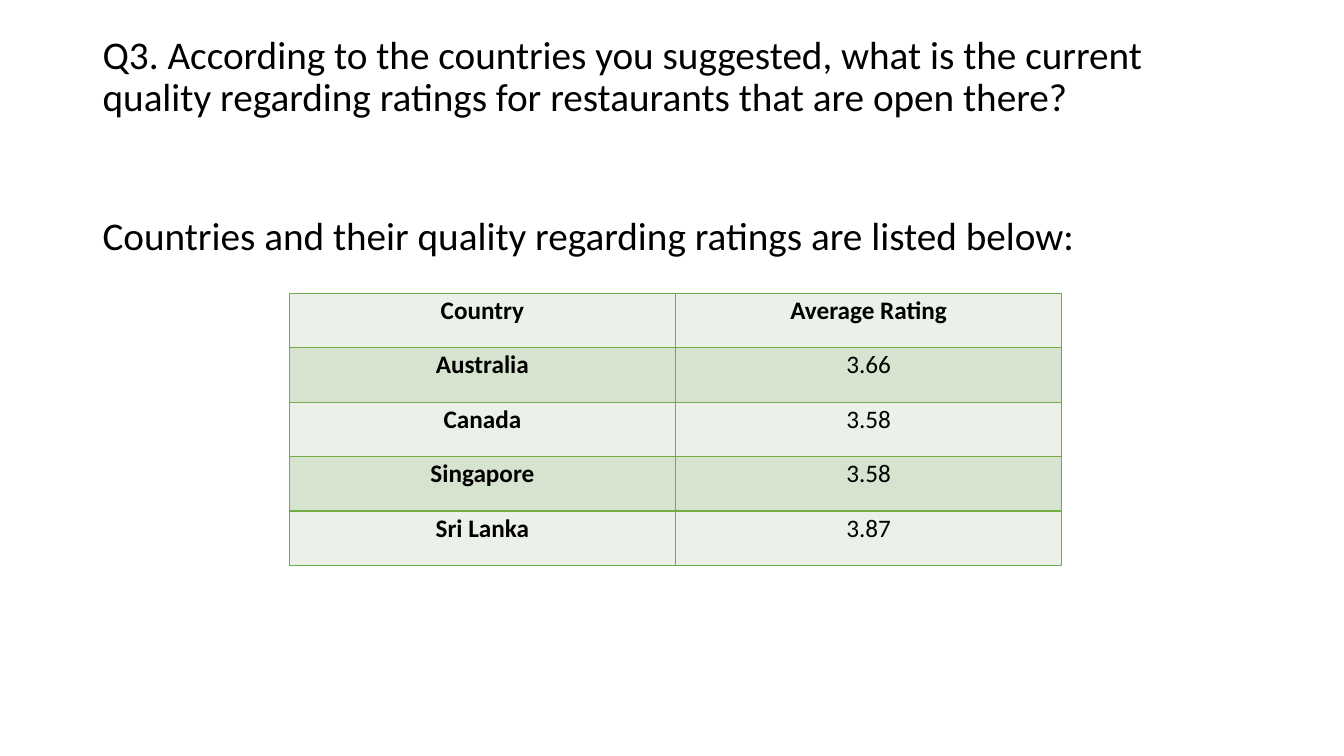
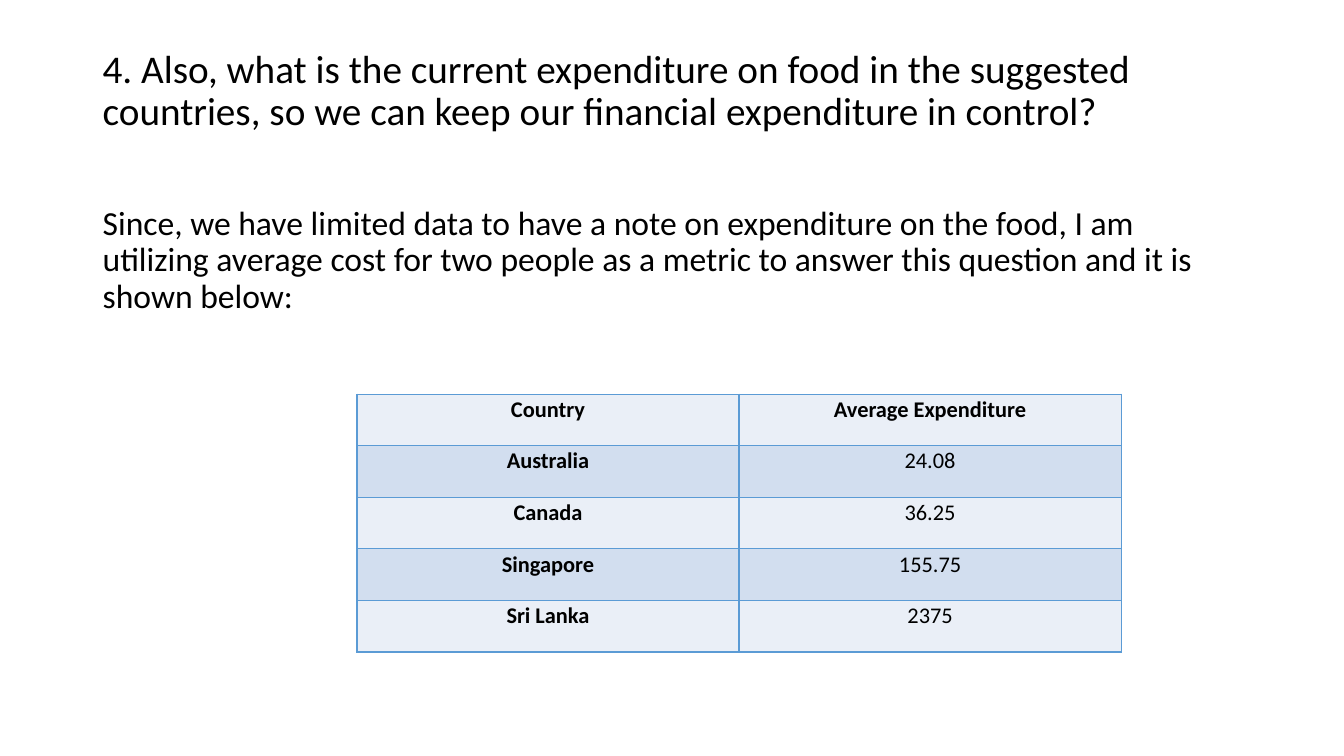
from lxml import etree
from pptx import Presentation
from pptx.dml.color import RGBColor
from pptx.enum.text import MSO_ANCHOR, PP_ALIGN
from pptx.oxml.ns import qn
from pptx.util import Emu, Pt

PX = 9144
FONT = "Calibri"
BLACK = "000000"
TITLE_SIZE = 28
MARGIN, CONTENT_WIDTH = 92, 1150
CELL_INSET = 7
BORDER_WIDTH = 1
TOP, MIDDLE = MSO_ANCHOR.TOP, MSO_ANCHOR.MIDDLE
CENTER = PP_ALIGN.CENTER
GREEN = {"border": "70AD47", "bands": ("EBF1E9", "D5E3CF")}
BLUE = {"border": "5B9BD5", "bands": ("EAEFF7", "D2DEEF")}

SLIDES = [
    {
        "title": "Q3. According to the countries you suggested, what is the current "
                 "quality regarding ratings for restaurants that are open there?",
        "title_box": (MARGIN, 14, CONTENT_WIDTH, 127),
        "body": "Countries and their quality regarding ratings are listed below:",
        "body_box": (MARGIN, 210, CONTENT_WIDTH, 60),
        "body_size": 28,
        "table_box": (287, 291, 766, 270),
        "table_size": 18,
        "theme": GREEN,
        "rows": [
            ("Country", "Average Rating"),
            ("Australia", "3.66"),
            ("Canada", "3.58"),
            ("Singapore", "3.58"),
            ("Sri Lanka", "3.87"),
        ],
    },
    {
        "title": "4. Also, what is the current expenditure on food in the suggested "
                 "countries, so we can keep our financial expenditure in control?",
        "title_box": (MARGIN, 40, CONTENT_WIDTH, 102),
        "body": "Since, we have limited data to have a note on expenditure on the food, "
                "I am utilizing average cost for two people as a metric to answer this "
                "question and it is shown below:",
        "body_box": (MARGIN, 200, CONTENT_WIDTH, 130),
        "body_size": 24,
        "table_box": (354, 391, 758, 256),
        "table_size": 16,
        "theme": BLUE,
        "rows": [
            ("Country", "Average Expenditure"),
            ("Australia", "24.08"),
            ("Canada", "36.25"),
            ("Singapore", "155.75"),
            ("Sri Lanka", "2375"),
        ],
    },
]


def px(length):
    """Turn a length in px into EMU."""
    return Emu(int(length * PX))


def color(hex_string):
    """Turn a hex string into a colour."""
    return RGBColor.from_string(hex_string)


def write(text_frame, text, size, line_spacing, bold=False, align=None):
    """Put one formatted paragraph into a text frame."""
    text_frame.text = text
    paragraph = text_frame.paragraphs[0]
    paragraph.line_spacing = line_spacing
    paragraph.alignment = align
    font = paragraph.runs[0].font
    font.name, font.size, font.bold = FONT, Pt(size), bold
    font.color.rgb = color(BLACK)


def add_text(slide, box, text, size, anchor):
    """Add a wrapping text box."""
    text_frame = slide.shapes.add_textbox(*map(px, box)).text_frame
    text_frame.word_wrap = True
    text_frame.vertical_anchor = anchor
    write(text_frame, text, size, 0.9)


def set_borders(cell, hex_string):
    """Draw a solid line on all four sides of a cell."""
    properties = cell._tc.get_or_add_tcPr()
    for position, side in enumerate(("a:lnL", "a:lnR", "a:lnT", "a:lnB")):
        line = etree.Element(qn(side), w=str(Pt(BORDER_WIDTH)))
        fill = etree.SubElement(line, qn("a:solidFill"))
        etree.SubElement(fill, qn("a:srgbClr"), val=hex_string)
        properties.insert(position, line)


def add_banded_table(slide, box, rows, size, theme):
    """Add a table with even rows and columns, banded fills and bold labels."""
    row_count, column_count = len(rows), len(rows[0])
    frame = slide.shapes.add_table(row_count, column_count, *map(px, box))
    table = frame.table
    for column in table.columns:
        column.width = px(box[2] / column_count)
    for row_index, values in enumerate(rows):
        table.rows[row_index].height = px(box[3] / row_count)
        for column_index, value in enumerate(values):
            cell = table.cell(row_index, column_index)
            cell.margin_left = cell.margin_right = px(CELL_INSET)
            cell.margin_top = cell.margin_bottom = 0
            cell.fill.solid()
            cell.fill.fore_color.rgb = color(theme["bands"][row_index % 2])
            set_borders(cell, theme["border"])
            is_label = row_index == 0 or column_index == 0
            write(cell.text_frame, value, size, 1.07, is_label, CENTER)


def add_question_slide(presentation, content):
    """Add a slide with a question, an answer and a table of countries."""
    slide = presentation.slides.add_slide(presentation.slide_layouts[6])
    add_text(slide, content["title_box"], content["title"], TITLE_SIZE, MIDDLE)
    add_text(slide, content["body_box"], content["body"], content["body_size"], TOP)
    add_banded_table(slide, content["table_box"], content["rows"],
                     content["table_size"], content["theme"])


def main():
    """Build and save the presentation."""
    presentation = Presentation()
    presentation.slide_width, presentation.slide_height = px(1333), px(750)
    for content in SLIDES:
        add_question_slide(presentation, content)
    presentation.save("out.pptx")


if __name__ == "__main__":
    main()
